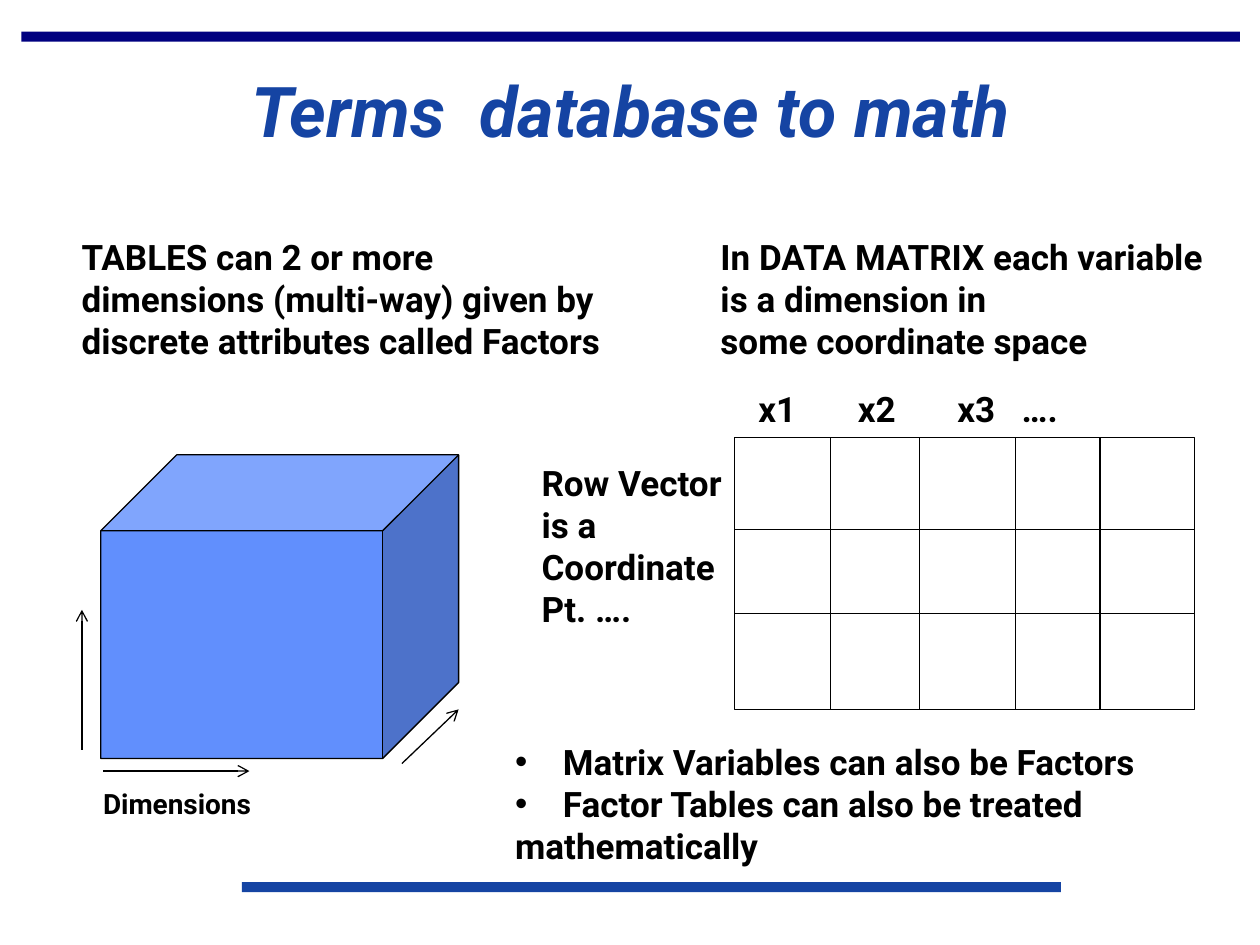
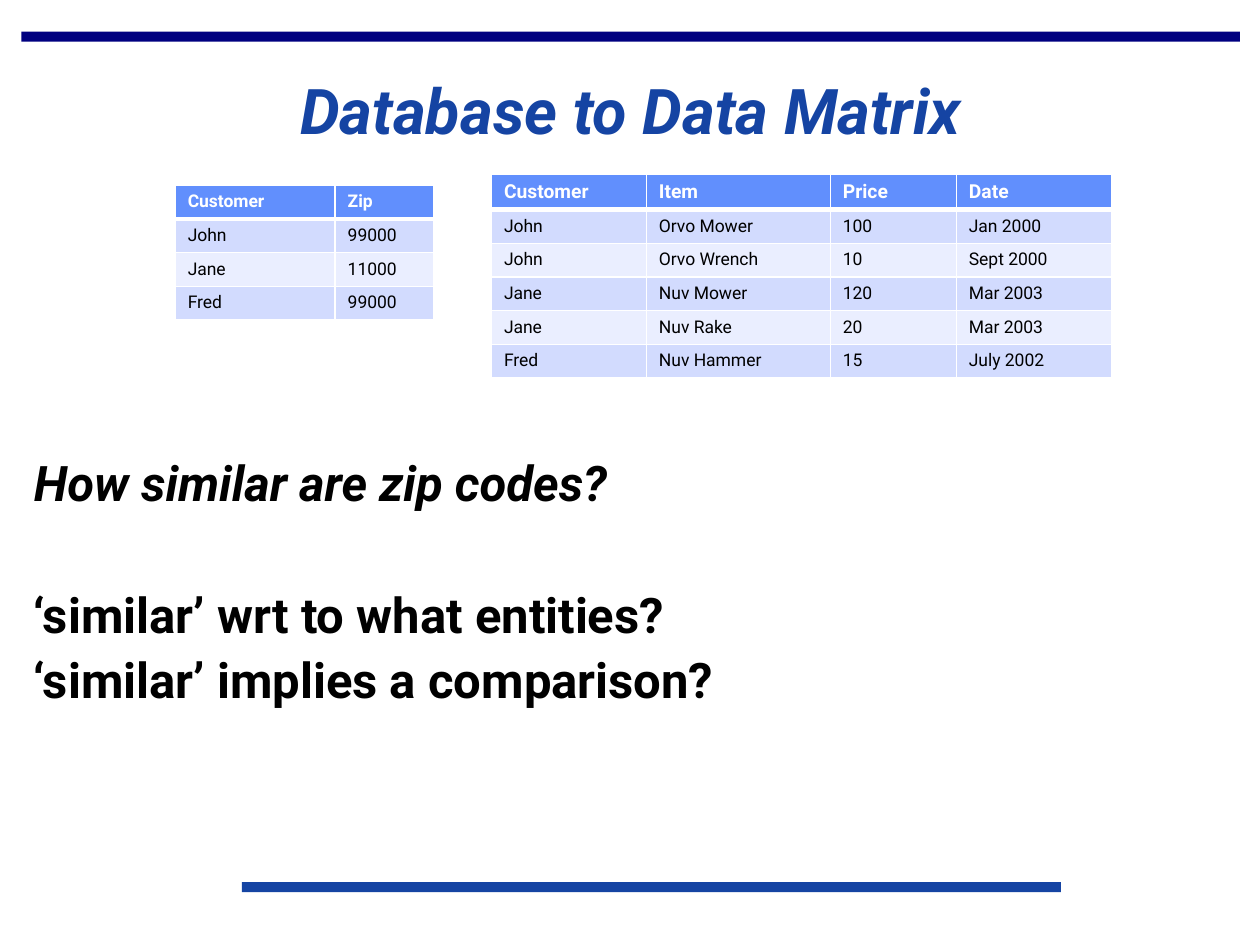
from dataclasses import dataclass

from lxml import etree
from pptx import Presentation
from pptx import util as u
from pptx.dml import color
from pptx.enum import shapes, text
from pptx.oxml import ns

FONT = "Roboto"
COLORS = {
    "top_band": "000080",
    "accent": "1544A3",
    "blue": "618FFD",
    "odd_row": "D2DBFE",
    "even_row": "EAEEFF",
    "ink": "000000",
    "white": "FFFFFF",
}


@dataclass
class Band:
    left: float
    top: float
    width: float
    color: str
    height: float = 0.08


@dataclass
class Note:
    left: float
    top: float
    width: float
    height: float
    lines: list[str]
    size: float = 20
    bulleted: int = 0
    tabs: tuple[float, ...] = ()


@dataclass
class Stroke:
    start: tuple[float, float]
    end: tuple[float, float]
    arrow: bool = False


@dataclass
class Relation:
    left: float
    top: float
    columns: list[float]
    rows: list[list[str]]
    header_size: float


BANDS = [Band(0.17, 0.25, 9.67, "top_band"), Band(1.92, 7, 6.5, "accent")]

NOTES = [
    Note(0.55, 1.82, 4.7, 1.45, [
        "TABLES can 2 or more",
        "dimensions (multi-way) given by",
        "discrete attributes called Factors",
    ]),
    Note(0.72, 6.19, 1.54, 0.37, ["Dimensions"], size=16),
    Note(5.62, 1.82, 4.24, 1.11, [
        "In DATA MATRIX each variable",
        "is a dimension in",
        "some coordinate space",
    ]),
    Note(5.92, 3.03, 2.81, 0.44, ["x1\tx2\tx3\t…."], tabs=(0.79, 1.58, 2.09)),
    Note(4.2, 3.61, 1.76, 1.45, ["Row Vector", "is a", "Coordinate", "Pt. …."]),
    Note(3.99, 5.83, 5.5, 1.45, [
        "Matrix Variables can also be Factors",
        "Factor Tables can also be treated",
        "mathematically",
    ], bulleted=2),
]

DIMENSION_ARROWS = [
    Stroke((0.65, 5.95), (0.65, 4.84), arrow=True),
    Stroke((0.82, 6.12), (1.98, 6.12), arrow=True),
    Stroke((3.19, 6.06), (3.64, 5.63), arrow=True),
]

MATRIX_LEFT, MATRIX_TOP, MATRIX_WIDTH, MATRIX_HEIGHT = 5.83, 3.47, 3.65, 2.16
MATRIX_COLUMN_EDGES = (6.59, 7.3, 8.06, 8.73)
MATRIX_ROW_EDGES = (4.2, 4.87)

RELATIONS = [
    Relation(3.9, 1.38, [1.23, 1.46, 1, 1.23], [
        ["Customer", "Item", "Price", "Date"],
        ["John", "Orvo Mower", "100", "Jan 2000"],
        ["John", "Orvo Wrench", "10", "Sept 2000"],
        ["Jane", "Nuv Mower", "120", "Mar 2003"],
        ["Jane", "Nuv Rake", "20", "Mar 2003"],
        ["Fred", "Nuv Hammer", "15", "July 2002"],
    ], header_size=11),
    Relation(1.39, 1.47, [1.27, 0.78], [
        ["Customer", "Zip"],
        ["John", "99000"],
        ["Jane", "11000"],
        ["Fred", "99000"],
    ], header_size=10),
]
ROW_HEIGHT = 0.26

QUESTIONS = [
    ("How similar are zip codes?", True, 0),
    ("‘similar’ wrt to what entities?", False, 43),
    ("‘similar’ implies a comparison?", False, 5.6),
]


def rgb(name: str) -> color.RGBColor:
    return color.RGBColor.from_string(COLORS[name])


def box(left: float, top: float, width: float, height: float) -> tuple:
    return tuple(u.Inches(length) for length in (left, top, width, height))


def style(paragraph, size: float, ink: str = "ink", bold: bool = True, italic: bool = False) -> None:
    for run in paragraph.runs:
        run.font.name = FONT
        run.font.size = u.Pt(size)
        run.font.bold = bold
        run.font.italic = italic
        run.font.color.rgb = rgb(ink)


def add_block(slide, place: tuple, lines: list[str]):
    frame = slide.shapes.add_textbox(*place).text_frame
    frame.word_wrap = True
    frame.text = "\n".join(lines)
    return frame


def add_solid(slide, preset, place: tuple, fill: str | None, outlined: bool = False) -> None:
    solid = slide.shapes.add_shape(preset, *place)
    solid.shadow.inherit = False
    if fill:
        solid.fill.solid()
        solid.fill.fore_color.rgb = rgb(fill)
    else:
        solid.fill.background()
    if outlined:
        solid.line.color.rgb = rgb("ink")
        solid.line.width = u.Pt(0.75)
    else:
        solid.line.fill.background()


def add_stroke(slide, stroke: Stroke) -> None:
    ends = (u.Inches(length) for length in (*stroke.start, *stroke.end))
    connector = slide.shapes.add_connector(shapes.MSO_CONNECTOR.STRAIGHT, *ends)
    connector.line.color.rgb = rgb("ink")
    connector.line.width = u.Pt(0.75)
    properties = connector._element.spPr
    if stroke.arrow:
        etree.SubElement(properties.find(ns.qn("a:ln")), ns.qn("a:tailEnd"), type="arrow")
    etree.SubElement(properties, ns.qn("a:effectLst"))


def add_note(slide, note: Note) -> None:
    frame = add_block(slide, box(note.left, note.top, note.width, note.height), note.lines)
    for index, paragraph in enumerate(frame.paragraphs):
        properties = paragraph._p.get_or_add_pPr()
        if index < note.bulleted:
            indent = u.Inches(0.38)
            properties.set("marL", str(indent))
            properties.set("indent", str(-indent))
            etree.SubElement(properties, ns.qn("a:buFont"), typeface="Arial")
            etree.SubElement(properties, ns.qn("a:buChar"), char="•")
        if note.tabs:
            stops = etree.SubElement(properties, ns.qn("a:tabLst"))
            for stop in note.tabs:
                etree.SubElement(stops, ns.qn("a:tab"), pos=str(u.Inches(stop)), algn="l")
        style(paragraph, note.size)


def set_borders(cell, row: int) -> None:
    weights = {"L": 1, "R": 1, "T": 3 if row == 1 else 1, "B": 3 if row == 0 else 1}
    properties = cell._tc.get_or_add_tcPr()
    for position, (side, weight) in enumerate(weights.items()):
        border = etree.Element(ns.qn(f"a:ln{side}"), w=str(u.Pt(weight)))
        fill = etree.SubElement(border, ns.qn("a:solidFill"))
        etree.SubElement(fill, ns.qn("a:srgbClr"), val=COLORS["white"])
        properties.insert(position, border)


def add_relation(slide, relation: Relation) -> None:
    count = len(relation.rows)
    place = box(relation.left, relation.top, sum(relation.columns), ROW_HEIGHT * count)
    table = slide.shapes.add_table(count, len(relation.columns), *place).table
    for column, width in zip(table.columns, relation.columns):
        column.width = u.Inches(width)
    for row, values in enumerate(relation.rows):
        table.rows[row].height = u.Inches(ROW_HEIGHT)
        header = row == 0
        fill = "blue" if header else "odd_row" if row % 2 else "even_row"
        for column, value in enumerate(values):
            cell = table.cell(row, column)
            cell.text_frame.text = value
            style(cell.text_frame.paragraphs[0], relation.header_size if header else 10,
                  "white" if header else "ink", bold=header)
            cell.fill.solid()
            cell.fill.fore_color.rgb = rgb(fill)
            set_borders(cell, row)


def add_titled_slide(deck, heading: str, size: float):
    slide = deck.slides.add_slide(deck.slide_layouts[5])
    for band in BANDS:
        add_solid(slide, shapes.MSO_SHAPE.RECTANGLE,
                  box(band.left, band.top, band.width, band.height), band.color)
    title = slide.shapes.title
    title.left, title.top, title.width, title.height = box(0.17, 0.33, 9.67, 1.14)
    frame = title.text_frame
    frame.text = heading
    frame.auto_size = text.MSO_AUTO_SIZE.NONE
    frame.vertical_anchor = text.MSO_ANCHOR.MIDDLE
    paragraph = frame.paragraphs[0]
    paragraph.alignment = text.PP_ALIGN.CENTER
    paragraph.line_spacing = 0.95
    style(paragraph, size, "accent", italic=True)
    return slide


def build_terms(deck) -> None:
    slide = add_titled_slide(deck, "Terms  database to math", 40)
    add_solid(slide, shapes.MSO_SHAPE.CUBE, box(0.8, 3.61, 2.84, 2.41), "blue", outlined=True)
    add_solid(slide, shapes.MSO_SHAPE.RECTANGLE,
              box(MATRIX_LEFT, MATRIX_TOP, MATRIX_WIDTH, MATRIX_HEIGHT), None, outlined=True)
    right, bottom = MATRIX_LEFT + MATRIX_WIDTH, MATRIX_TOP + MATRIX_HEIGHT
    column_lines = [Stroke((x, MATRIX_TOP), (x, bottom)) for x in MATRIX_COLUMN_EDGES]
    row_lines = [Stroke((MATRIX_LEFT, y), (right, y)) for y in MATRIX_ROW_EDGES]
    for stroke in DIMENSION_ARROWS + column_lines + row_lines:
        add_stroke(slide, stroke)
    for note in NOTES:
        add_note(slide, note)


def build_data_matrix(deck) -> None:
    slide = add_titled_slide(deck, "Database to Data Matrix", 36)
    frame = add_block(slide, box(0.17, 3.58, 9.67, 2.92), [line for line, _, _ in QUESTIONS])
    for paragraph, (_, italic, gap) in zip(frame.paragraphs, QUESTIONS):
        paragraph.line_spacing = 0.95
        if gap:
            paragraph.space_before = u.Pt(gap)
        style(paragraph, 28, italic=italic)
    for relation in RELATIONS:
        add_relation(slide, relation)


def main() -> None:
    deck = Presentation()
    deck.slide_width, deck.slide_height = u.Inches(10), u.Inches(7.5)
    build_terms(deck)
    build_data_matrix(deck)
    deck.save("out.pptx")


if __name__ == "__main__":
    main()
